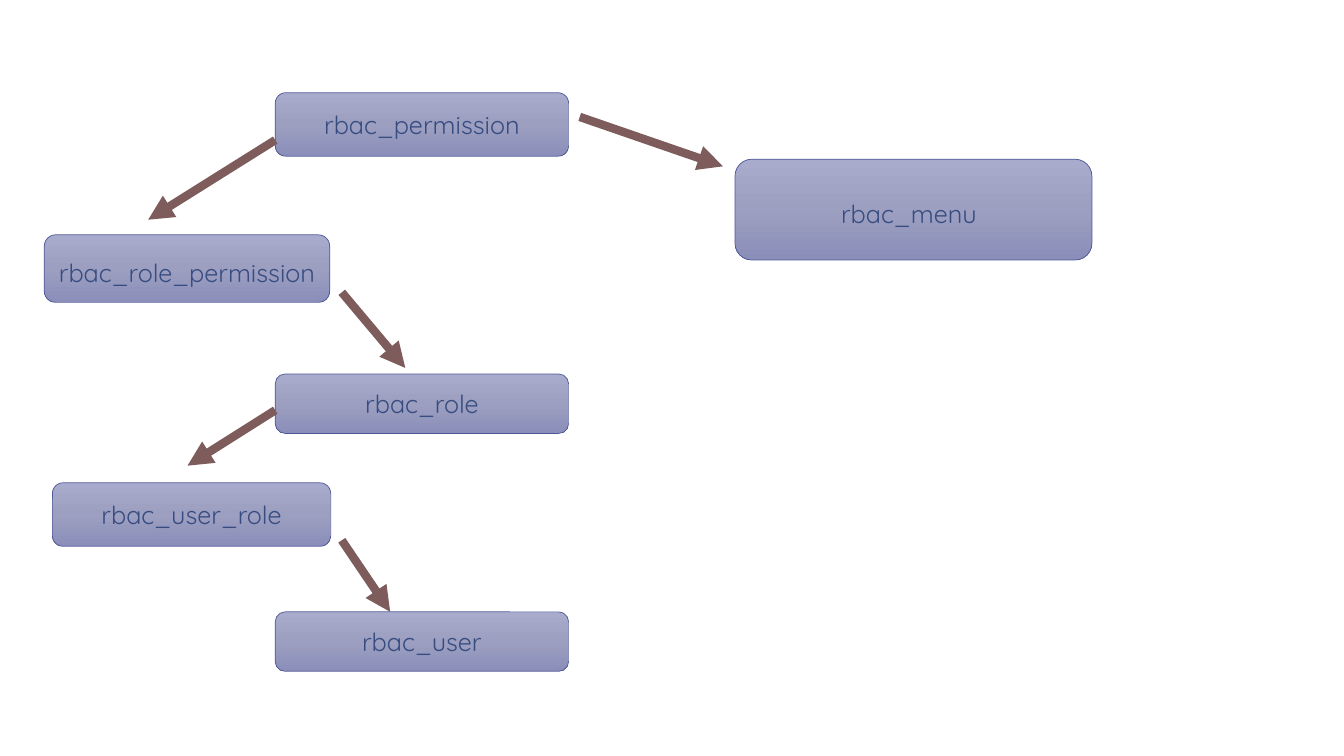
from copy import deepcopy

from pptx import Presentation
from pptx.dml.color import RGBColor
from pptx.enum.shapes import MSO_CONNECTOR, MSO_SHAPE
from pptx.enum.text import MSO_ANCHOR, PP_ALIGN
from pptx.oxml.ns import qn
from pptx.util import Inches, Pt

ROUNDED = MSO_SHAPE.ROUNDED_RECTANGLE
STRAIGHT = MSO_CONNECTOR.STRAIGHT
MIDDLE = MSO_ANCHOR.MIDDLE
CENTER = PP_ALIGN.CENTER

SHADES = [
    (0, RGBColor(0xA8, 0xAB, 0xCB)),
    (0.5, RGBColor(0x9C, 0x9F, 0xC0)),
    (1, RGBColor(0x8A, 0x8E, 0xB9)),
]
EDGE = RGBColor(0x4E, 0x57, 0x98)
INK = RGBColor(0x37, 0x4C, 0x81)
ARROW = RGBColor(0x7E, 0x5C, 0x5C)
FONT = "Quicksand"

MID_X, MID_W = 2.73, 2.91

# name, left, top, width, height, size of the trailing space if any
TABLES = [
    ("rbac_permission", MID_X, 0.92, MID_W, 0.63, None),
    ("rbac_role", MID_X, 3.71, MID_W, 0.59, None),
    ("rbac_role_permission", 0.44, 2.33, 2.83, 0.67, 24),
    ("rbac_menu", 7.29, 1.58, 3.54, 1, 24),
    ("rbac_user_role", 0.52, 4.79, 2.76, 0.63, None),
    ("rbac_user", MID_X, 6.07, MID_W, 0.59, None),
]

# start x, start y, end x, end y
LINKS = [
    (MID_X, 1.39, 1.47, 2.18),
    (5.75, 1.16, 7.17, 1.65),
    (MID_X, 4.07, 1.86, 4.62),
    (3.39, 2.9, 4.02, 3.65),
    (3.39, 5.36, 3.87, 6.07),
]


def shade(shape):
    """Fill the shape from top to bottom with the three shades."""
    fill = shape.fill
    fill.gradient()
    fill.gradient_angle = 270
    stops = shape._element.spPr.find(qn("a:gradFill")).find(qn("a:gsLst"))
    stops.append(deepcopy(stops[0]))
    for stop, (place, color) in zip(fill.gradient_stops, SHADES):
        stop.position = place
        stop.color.rgb = color


def add_box(slide, name, left, top, width, height, space):
    box = slide.shapes.add_shape(
        ROUNDED, Inches(left), Inches(top), Inches(width), Inches(height))
    box.shadow.inherit = False
    shade(box)
    box.line.color.rgb = EDGE
    box.line.width = Pt(0.5)
    frame = box.text_frame
    frame.word_wrap = True
    frame.vertical_anchor = MIDDLE
    para = frame.paragraphs[0]
    para.alignment = CENTER
    para.font.name = FONT
    para.font.size = Pt(18)
    para.font.color.rgb = INK
    para.add_run().text = name
    if space:
        tail = para.add_run()
        tail.text = " "
        tail.font.size = Pt(space)


def add_arrow(slide, *ends):
    arrow = slide.shapes.add_connector(STRAIGHT, *map(Inches, ends))
    arrow.line.color.rgb = ARROW
    arrow.line.width = Pt(6)
    props = arrow._element.spPr
    head = props.find(qn("a:ln")).makeelement(
        qn("a:tailEnd"), {"type": "triangle"})
    props.find(qn("a:ln")).append(head)
    props.append(props.makeelement(qn("a:effectLst"), {}))


def add_diagram(slide):
    for table in TABLES:
        add_box(slide, *table)
    for link in LINKS:
        add_arrow(slide, *link)


def main():
    deck = Presentation()
    deck.slide_width = Inches(13.33)
    deck.slide_height = Inches(7.5)
    add_diagram(deck.slides.add_slide(deck.slide_layouts[6]))
    deck.save("out.pptx")


if __name__ == "__main__":
    main()
